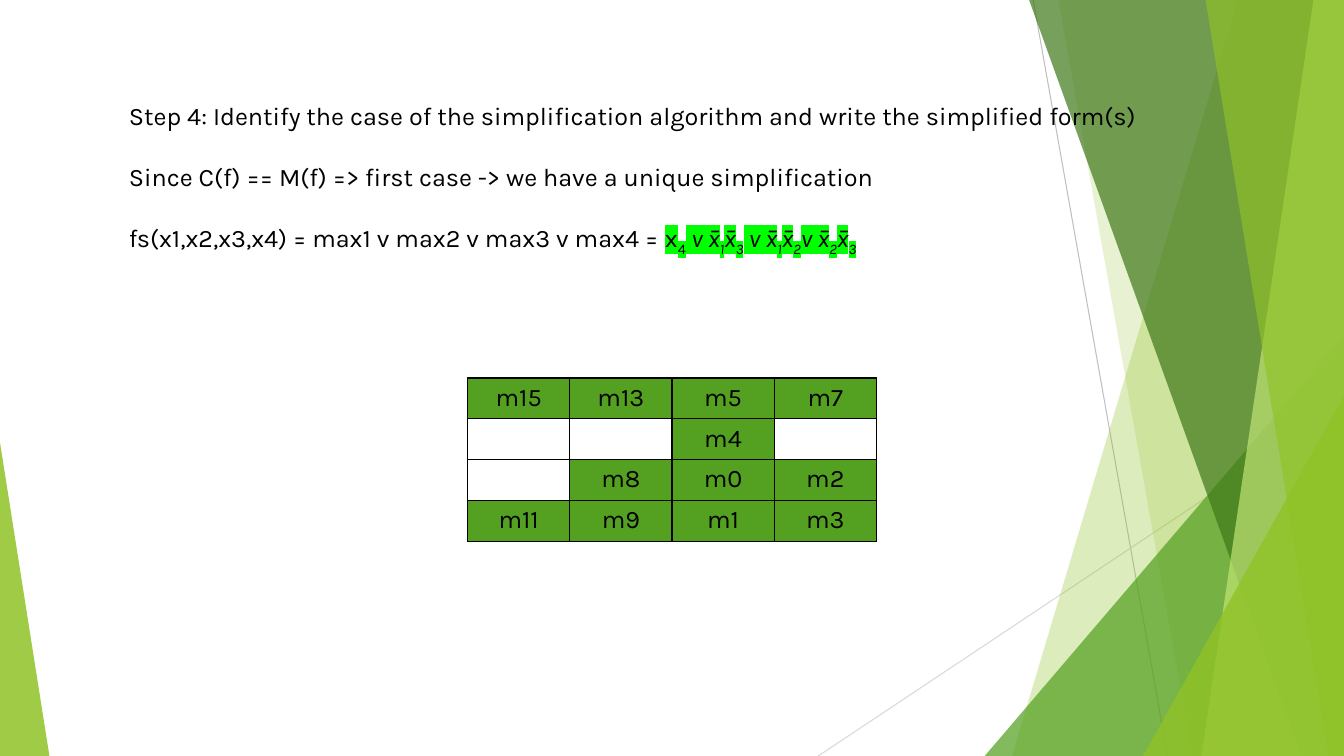
from dataclasses import dataclass

from lxml.etree import SubElement
from pptx import Presentation
from pptx.dml.color import RGBColor
from pptx.enum.shapes import MSO_CONNECTOR, MSO_SHAPE
from pptx.enum.text import MSO_AUTO_SIZE, PP_ALIGN
from pptx.oxml.ns import qn
from pptx.util import Pt


@dataclass(frozen=True)
class Theme:
    font: str = "Karla"
    size: int = 18
    text: str = "000000"
    lime: str = "90C226"
    pale_lime: str = "C0E474"
    green: str = "54A021"
    dark_green: str = "3F7819"
    highlight: str = "00FF00"
    gray: str = "BFBFBF"
    light_gray: str = "D9D9D9"


theme = Theme()
WIDTH, HEIGHT = 960, 540


def add_solid_fill(parent, color, opacity=100):
    fill = SubElement(parent, qn("a:solidFill"))
    rgb = SubElement(fill, qn("a:srgbClr"), val=color)
    if opacity < 100:
        SubElement(rgb, qn("a:alpha"), val=str(opacity * 1000))


def style_font(paragraph):
    paragraph.font.name = theme.font
    paragraph.font.size = Pt(theme.size)
    paragraph.font.color.rgb = RGBColor.from_string(theme.text)


presentation = Presentation()
presentation.slide_width, presentation.slide_height = Pt(WIDTH), Pt(HEIGHT)
slide = presentation.slides.add_slide(presentation.slide_layouts[6])
shapes = slide.shapes

# Thin background lines
for x1, y1, x2, y2, color in [
    (738, 0, 834, HEIGHT, theme.gray),
    (WIDTH, 290, 584.5, HEIGHT, theme.light_gray),
]:
    line = shapes.add_connector(
        MSO_CONNECTOR.STRAIGHT, Pt(x1), Pt(y1), Pt(x2), Pt(y2)
    )
    line.line.color.rgb = RGBColor.from_string(color)
    line.line.width = Pt(0.75)
    SubElement(line._element.spPr, qn("a:effectLst"))

# Facets, back to front: bands run from a top x to a bottom x and fill to the
# right edge; triangles stand on the bottom edge with their apex at one side
facets = [
    ("band", 884.2, 722.9, theme.lime, 30),
    ("band", 756, 851.8, theme.lime, 20),
    ("triangle", (703.4, 239.8, WIDTH), 1, theme.green, 72),
    ("band", 735.1, 929.5, theme.dark_green, 70),
    ("band", 938.2, 858.2, theme.pale_lime, 70),
    ("band", 861.1, 949, theme.lime, 65),
    ("triangle", (816.5, 283, WIDTH), 1, theme.lime, 80),
    ("triangle", (0, 316.1, 35.3), 0, theme.lime, 85),
]
for kind, first, second, color, opacity in facets:
    if kind == "band":
        builder = shapes.build_freeform(Pt(first), Pt(0))
        builder.add_line_segments(
            [
                (Pt(WIDTH), Pt(0)),
                (Pt(WIDTH), Pt(HEIGHT)),
                (Pt(second), Pt(HEIGHT)),
            ]
        )
        facet = builder.convert_to_shape()
    else:
        left, top, right = first
        facet = shapes.add_shape(
            MSO_SHAPE.ISOSCELES_TRIANGLE,
            Pt(left), Pt(top), Pt(right - left), Pt(HEIGHT - top),
        )
        facet.adjustments[0] = second
    facet.line.fill.background()
    facet.shadow.inherit = False
    facet.fill.solid()
    facet.fill.fore_color.rgb = RGBColor.from_string(color)
    rgb = facet._element.spPr.find(qn("a:solidFill"))[0]
    SubElement(rgb, qn("a:alpha"), val=str(opacity * 1000))

# Explanation and simplified form
explanation = shapes.add_textbox(Pt(85), Pt(68.4), Pt(735), Pt(138))
text_frame = explanation.text_frame
text_frame.word_wrap = False
text_frame.auto_size = MSO_AUTO_SIZE.SHAPE_TO_FIT_TEXT
statements = [
    "Step 4: Identify the case of the simplification algorithm and write the simplified form(s)",
    "Since C(f) == M(f) => first case -> we have a unique simplification",
    "fs(x1,x2,x3,x4) = max1 v max2 v max3 v max4 = ",
]
for index, statement in enumerate(statements):
    paragraph = text_frame.paragraphs[0] if index == 0 else text_frame.add_paragraph()
    paragraph.add_run().text = statement
    style_font(paragraph)
    if index:
        paragraph.space_before = Pt(22)

simplified_form = [
    ("x", "4"), (" v x̄", "1"), ("x̄", "3"), (" v x̄", "1"),
    ("x̄", "2"), ("v x̄", "2"), ("x̄", "3"),
]
for term_index, (variable, subscript) in enumerate(simplified_form):
    for text, baseline in [(variable, 0), (subscript, -25)]:
        run = paragraph.add_run()
        run.text = text
        if term_index:
            run.font.italic = True
        properties = run.font._element
        if baseline:
            properties.set("baseline", str(baseline * 1000))
        highlight = SubElement(properties, qn("a:highlight"))
        SubElement(highlight, qn("a:srgbClr"), val=theme.highlight)

# Karnaugh map
minterms = [
    ["m15", "m13", "m5", "m7"],
    ["", "", "m4", ""],
    ["", "m8", "m0", "m2"],
    ["m11", "m9", "m1", "m3"],
]
COLUMN_WIDTH, ROW_HEIGHT = 73, 29.2
karnaugh_map = shapes.add_table(
    4, 4, Pt(334), Pt(270), Pt(4 * COLUMN_WIDTH), Pt(4 * ROW_HEIGHT)
).table
for column in karnaugh_map.columns:
    column.width = Pt(COLUMN_WIDTH)
for row, names in zip(karnaugh_map.rows, minterms):
    row.height = Pt(ROW_HEIGHT)
    for cell, name in zip(row.cells, names):
        cell_properties = cell._tc.get_or_add_tcPr()
        for side in ("a:lnL", "a:lnR", "a:lnT", "a:lnB"):
            border = SubElement(cell_properties, qn(side), w=str(Pt(1)))
            add_solid_fill(border, theme.text)
        paragraph = cell.text_frame.paragraphs[0]
        paragraph.alignment = PP_ALIGN.CENTER
        style_font(paragraph)
        if name:
            paragraph.add_run().text = name
            cell.fill.solid()
            cell.fill.fore_color.rgb = RGBColor.from_string(theme.green)
        else:
            cell.fill.background()

presentation.save("out.pptx")
